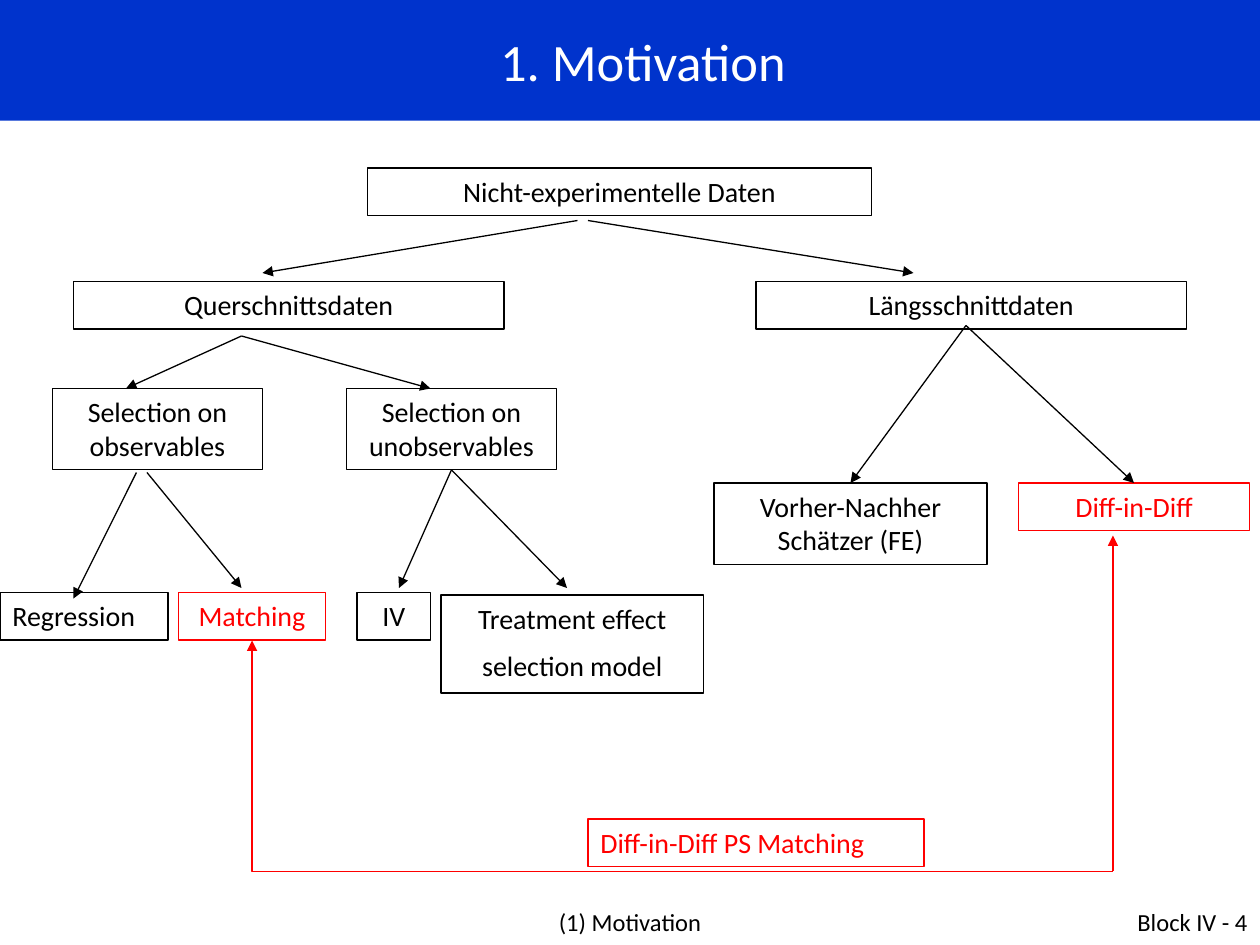
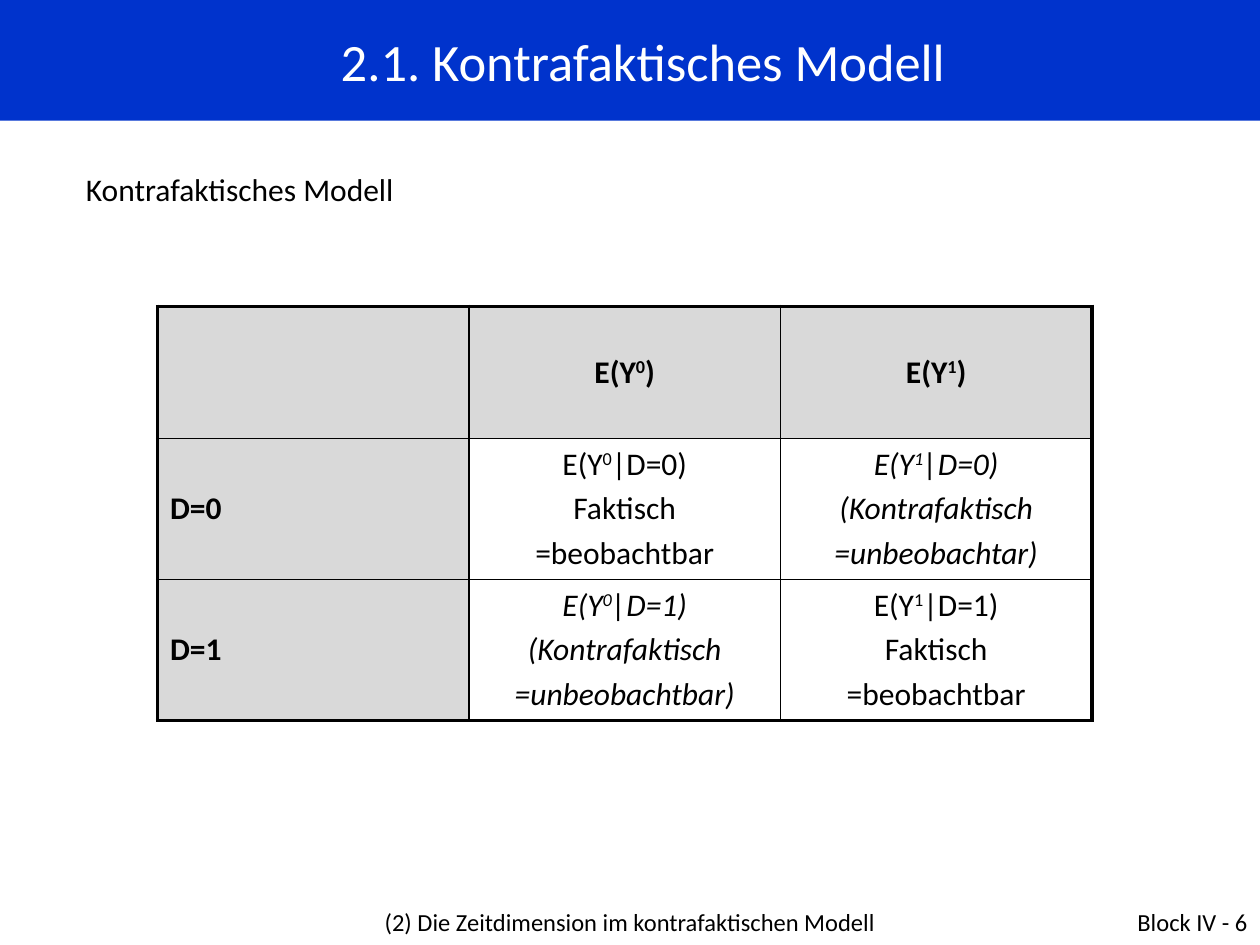
from lxml import etree
from pptx import Presentation
from pptx.dml.color import RGBColor
from pptx.enum.shapes import MSO_CONNECTOR, MSO_SHAPE
from pptx.enum.text import MSO_ANCHOR, PP_ALIGN
from pptx.oxml.ns import qn
from pptx.util import Pt

LEFT, CENTER, RIGHT = PP_ALIGN.LEFT, PP_ALIGN.CENTER, PP_ALIGN.RIGHT
MIDDLE = MSO_ANCHOR.MIDDLE
RECT = MSO_SHAPE.RECTANGLE
STRAIGHT, ELBOW = MSO_CONNECTOR.STRAIGHT, MSO_CONNECTOR.ELBOW

COLORS = {name: RGBColor.from_string(value) for name, value in {
    "band": "0033CC",
    "title": "FFFFFF",
    "ink": "000000",
    "accent": "FF0000",
    "header": "D9D9D9",
}.items()}
FONT = "Calibri"
SLIDE_W, SLIDE_H = 720, 540


def write_text(frame, lines, size, color="ink", align=LEFT, gap=0, **font_format):
    """Write one paragraph per line; ^ raises the character after it."""
    frame.word_wrap = True
    font_format = {"name": FONT, "size": Pt(size), "bold": False, **font_format}
    for index, line in enumerate(lines):
        paragraph = frame.add_paragraph() if index else frame.paragraphs[0]
        paragraph.alignment = align
        if index:
            paragraph.space_before = Pt(gap)
        base, _, rest = line.partition("^")
        for part, raised in ((base, False), (rest[:1], True), (rest[1:], False)):
            if not part:
                continue
            run = paragraph.add_run()
            run.text = part
            run.font.color.rgb = COLORS[color]
            for name, value in font_format.items():
                setattr(run.font, name, value)
            if raised:
                run.font._element.set("baseline", "30000")


def add_box(slide, left, top, width, height):
    box = slide.shapes.add_shape(RECT, Pt(left), Pt(top), Pt(width), Pt(height))
    box.shadow.inherit = False
    return box


prs = Presentation()
prs.slide_width, prs.slide_height = Pt(SLIDE_W), Pt(SLIDE_H)

# Shared title band and footers
slides = []
for title, chapter, chapter_width, page in (
    ("1. Motivation", "(1) Motivation", 372, 4),
    ("2.1. Kontrafaktisches Modell",
     "(2) Die Zeitdimension im kontrafaktischen Modell", 396, 6),
):
    slide = prs.slides.add_slide(prs.slide_layouts[6])
    slides.append(slide)
    band = add_box(slide, 0, 0, SLIDE_W, 69)
    band.fill.solid()
    band.fill.fore_color.rgb = COLORS["band"]
    band.line.fill.background()
    band.text_frame.margin_left = Pt(22)
    band.text_frame.vertical_anchor = MIDDLE
    write_text(band.text_frame, [title], 30, "title", CENTER)
    for text, left, width, align in (
        (chapter, (SLIDE_W - chapter_width) / 2, chapter_width, CENTER),
        (f"Block IV - {page}", 552, 168, RIGHT),
    ):
        footer = slide.shapes.add_textbox(Pt(left), Pt(515), Pt(width), Pt(25))
        write_text(footer.text_frame, [text], 14, align=align)

motivation, model = slides

# Tree of data types and estimators
ONE_LINE, TWO_LINES, TWO_PARAGRAPHS = 27.3, 46.5, 56
nodes = {}
for key, lines, left, top, width, height, color, align in (
    ("data", ["Nicht-experimentelle Daten"], 210, 96, 288, ONE_LINE, "ink", CENTER),
    ("cross", ["Querschnittsdaten"], 42, 160.7, 246, ONE_LINE, "ink", CENTER),
    ("panel", ["Längsschnittdaten"], 432, 160.7, 246, ONE_LINE, "ink", CENTER),
    ("observed", ["Selection on observables"], 30, 222, 120, TWO_LINES, "ink", CENTER),
    ("unobserved", ["Selection on unobservables"], 198, 222, 120, TWO_LINES,
     "ink", CENTER),
    ("regression", ["Regression"], 0, 338.5, 96, ONE_LINE, "ink", LEFT),
    ("matching", ["Matching"], 102, 338.5, 84, ONE_LINE, "accent", CENTER),
    ("iv", ["IV"], 204, 338.5, 42, ONE_LINE, "ink", CENTER),
    ("treatment", ["Treatment effect", "selection model"], 252, 340, 150,
     TWO_PARAGRAPHS, "ink", CENTER),
    ("before_after", ["Vorher-Nachher Schätzer (FE)"], 408, 276, 156, TWO_LINES,
     "ink", CENTER),
    ("did", ["Diff-in-Diff"], 582, 276, 132, ONE_LINE, "accent", CENTER),
    ("did_matching", ["Diff-in-Diff PS Matching"], 336, 468, 192, ONE_LINE,
     "accent", LEFT),
):
    node = nodes[key] = add_box(motivation, left, top, width, height)
    node.fill.background()
    node.line.color.rgb = COLORS[color]
    node.line.width = Pt(0.75)
    node.text_frame.vertical_anchor = MSO_ANCHOR.TOP
    write_text(node.text_frame, lines, 16, color, align, gap=8)

# Branches: start, end, and the node sides they join
arrows = []
for x1, y1, x2, y2, color, start, end in (
    (330, 126, 150, 156, "ink", None, None),
    (336, 126, 522, 156, "ink", None, None),
    (138, 192, 72, 222, "ink", None, None),
    (138, 192, 246, 222, "ink", None, None),
    (78, 270, 42, 342, "ink", None, None),
    (84, 270, 138, 336, "ink", None, None),
    (258, 270, 228, 336, "ink", "unobserved", None),
    (258, 270, 324, 336, "ink", "unobserved", None),
    (552, 186, 486, 276, "ink", None, "before_after"),
    (552, 186, 648, 276, "ink", None, "did"),
    (636, 498, 636, 306, "accent", None, None),
):
    branch = motivation.shapes.add_connector(STRAIGHT, Pt(x1), Pt(y1), Pt(x2), Pt(y2))
    if start:
        branch.begin_connect(nodes[start], 2)
    if end:
        branch.end_connect(nodes[end], 0)
    arrows.append((branch, color, "a:tailEnd"))

# Bent link from Matching down and across to the Diff-in-Diff arrow
link = motivation.shapes.add_connector(ELBOW, Pt(324), Pt(186), Pt(456), Pt(678))
link.rotation = 270 if hasattr(link, "rotation") else 0
link_props = link._element.spPr
link_props.find(qn("a:prstGeom")).set("prst", "bentConnector2")
for name, value in {"rot": "16200000", "flipH": "1"}.items():
    link_props.find(qn("a:xfrm")).set(name, value)
arrows.append((link, "accent", "a:headEnd"))

for arrow, color, arrow_end in arrows:
    arrow.line.color.rgb = COLORS[color]
    arrow.line.width = Pt(0.75)
    props = arrow._element.spPr
    etree.SubElement(props.find(qn("a:ln")), qn(arrow_end), type="triangle")
    etree.SubElement(props, qn("a:effectLst"))

# Heading of the model
heading = model.shapes.add_textbox(Pt(42), Pt(88.5), Pt(607), Pt(32.5))
write_text(heading.text_frame, ["Kontrafaktisches Modell"], 18)
heading.text_frame.paragraphs[0].line_spacing = 1.25

# Table of factual and counterfactual outcomes
outcomes = [
    [[], ["E(Y^0)"], ["E(Y^1)"]],
    [["D=0"],
     ["E(Y^0|D=0)", "Faktisch", "=beobachtbar"],
     ["E(Y^1|D=0)", "(Kontrafaktisch", "=unbeobachtar)"]],
    [["D=1"],
     ["E(Y^0|D=1)", "(Kontrafaktisch", "=unbeobachtbar)"],
     ["E(Y^1|D=1)", "Faktisch", "=beobachtbar"]],
]
row_heights = [75.6, 80.6, 80.6]
column_width = 178
last = len(outcomes) - 1
table = model.shapes.add_table(3, 3, Pt(90), Pt(175), Pt(3 * column_width),
                               Pt(sum(row_heights))).table
table.first_row = table.horz_banding = False
for column in table.columns:
    column.width = Pt(column_width)
for r, row in enumerate(outcomes):
    table.rows[r].height = Pt(row_heights[r])
    for c, lines in enumerate(row):
        cell = table.cell(r, c)
        cell.vertical_anchor = MIDDLE
        is_header = r == 0 or c == 0
        write_text(cell.text_frame, lines, 18, align=CENTER if c else LEFT, gap=3.6,
                   bold=is_header, italic=not is_header and r != c + 0
                   and True or False) if is_header else write_text(
            cell.text_frame, lines, 18, align=CENTER, gap=3.6, italic=r != c)
        # Thick outer frame, thin inner rules
        cell_props = cell._tc.get_or_add_tcPr()
        for side, is_outer in (("L", c == 0), ("R", c == last),
                               ("T", r == 0), ("B", r == last)):
            border = etree.SubElement(cell_props, qn(f"a:ln{side}"),
                                      w=str(Pt(2.25 if is_outer else 1)))
            ink = etree.SubElement(border, qn("a:solidFill"))
            etree.SubElement(ink, qn("a:srgbClr"), val=str(COLORS["ink"]))
        if is_header:
            cell.fill.solid()
            cell.fill.fore_color.rgb = COLORS["header"]
        else:
            cell.fill.background()

prs.save("out.pptx")
